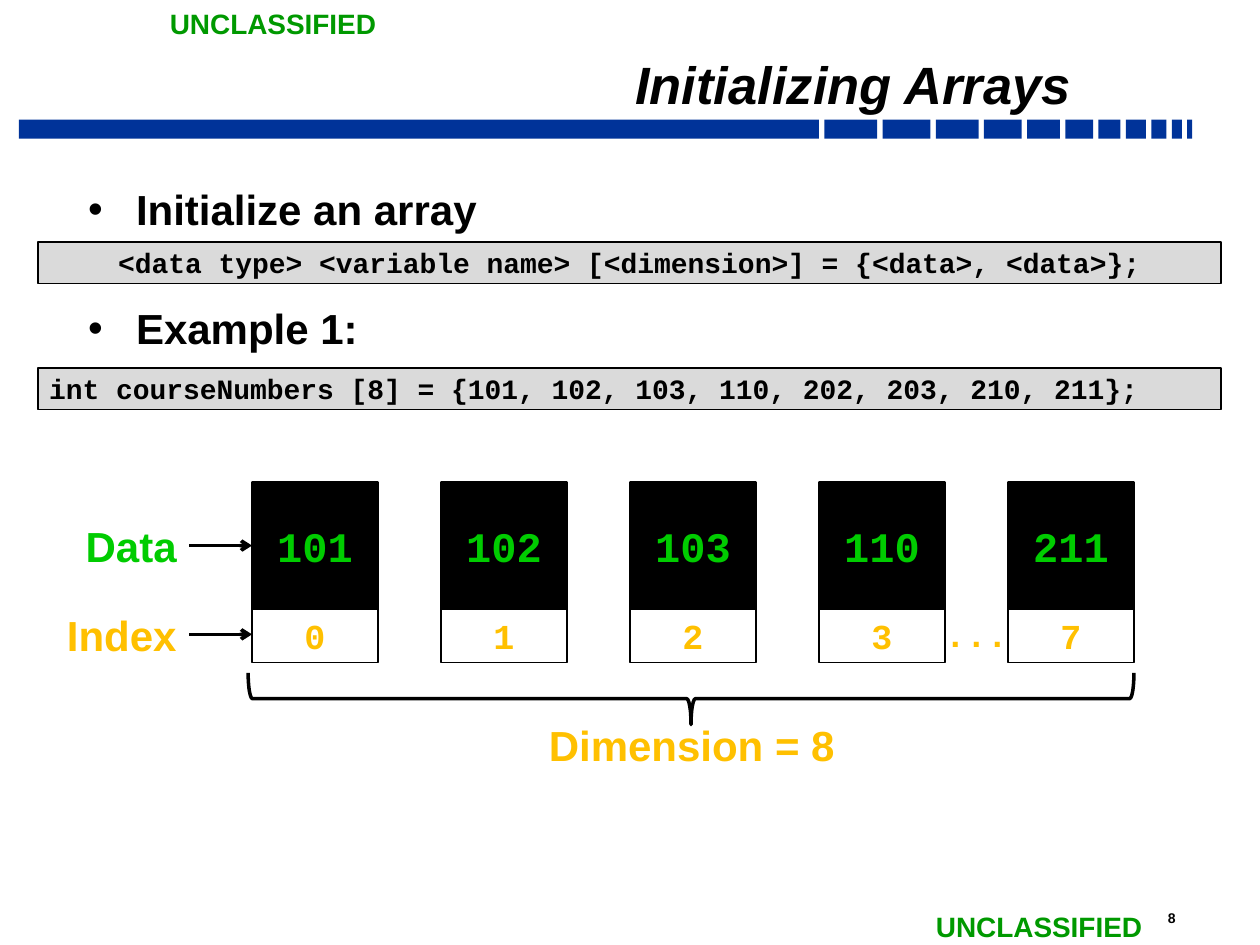
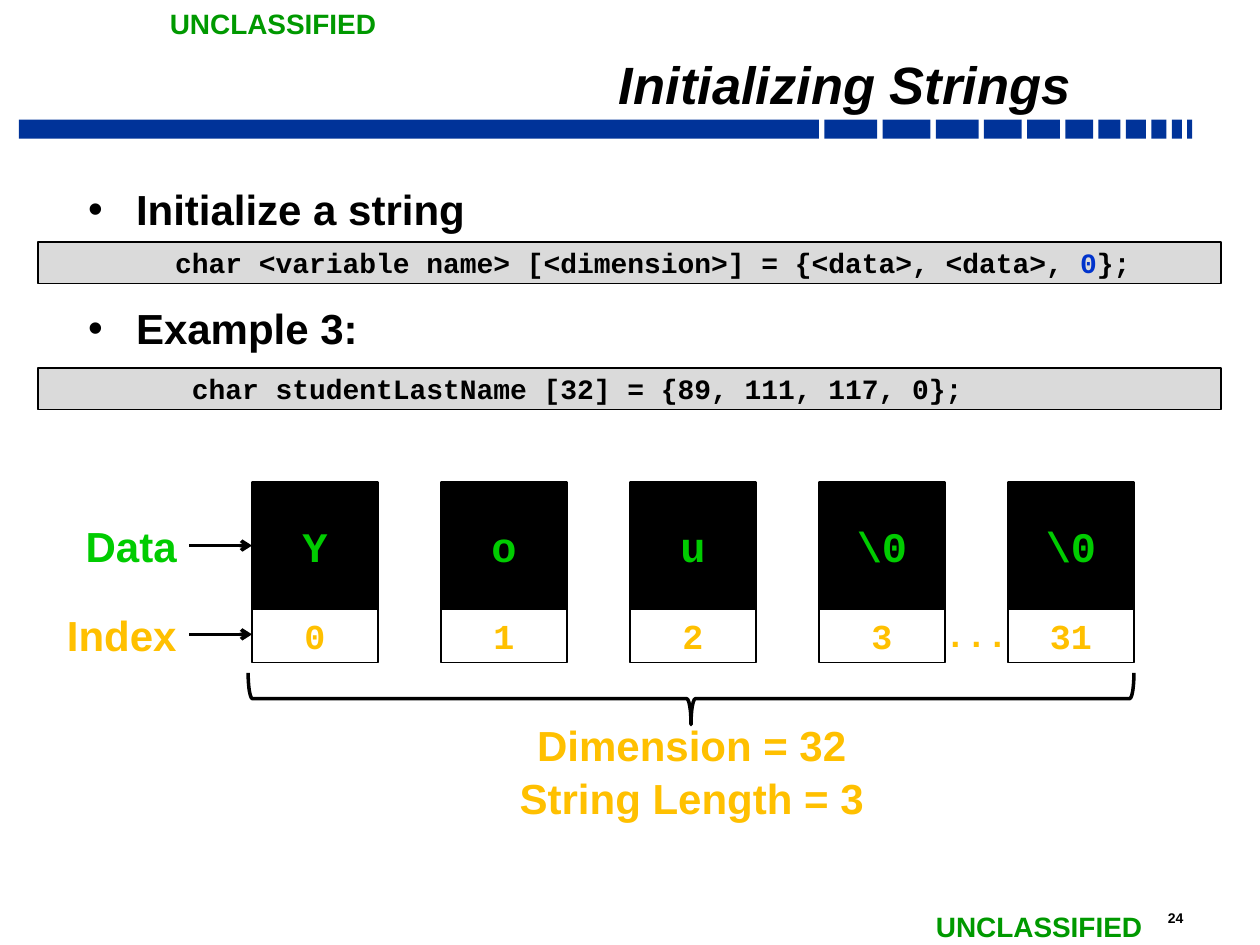
from lxml.etree import SubElement
from pptx import Presentation
from pptx.dml.color import RGBColor as Rgb
from pptx.enum.shapes import MSO_CONNECTOR as Link, MSO_SHAPE as Form
from pptx.enum.text import MSO_ANCHOR as Anchor, PP_ALIGN as Align
from pptx.oxml.ns import qn
from pptx.util import Inches, Pt

HUES = {
    "ink": "000000",
    "band": "003399",
    "mark": "009900",
    "code": "DADADA",
    "data": "00CC00",
    "index": "FFC000",
    "end": "0033CC",
}
SANS, MONO = "Arial", "Courier New"
SLIM = (0.09, 0.04)
WIDE = (0.1, 0.05)
BARS = [25.4, 1.68, 1.52, 1.36, 1.2, 1.04, 0.88, 0.7, 0.64, 0.48, 0.32, 0.16]


def hue(name):
    return Rgb.from_string(HUES[name])


class Deck:
    cols, rows = 40, 30

    def __init__(self):
        self.prs = Presentation()
        self.prs.slide_width, self.prs.slide_height = Inches(10), Inches(7.5)
        self.slide = None

    def grid(self, x, y):
        return (round(self.prs.slide_width * x / self.cols),
                round(self.prs.slide_height * y / self.rows))

    def place(self, box):
        return *self.grid(*box[:2]), *self.grid(*box[2:])

    def style(self, font, size, color, face=SANS, slant=False):
        font.name, font.size, font.bold = face, Pt(size), True
        font.color.rgb = hue(color)
        if slant:
            font.italic = True

    def frame(self, shape, anchor=Anchor.MIDDLE, pad=WIDE, wrap=True):
        frame = shape.text_frame
        frame.word_wrap, frame.vertical_anchor = wrap, anchor
        frame.margin_left = frame.margin_right = Inches(pad[0])
        frame.margin_top = frame.margin_bottom = Inches(pad[1])
        return frame

    def label(self, shape, text, size, color, face=SANS, align=Align.LEFT,
              slant=False, **opts):
        para = self.frame(shape, **opts).paragraphs[0]
        para.alignment = align
        para.add_run().text = text
        self.style(para.font, size, color, face, slant)
        return para

    def area(self, box):
        return self.slide.shapes.add_textbox(*self.place(box))

    def text(self, box, *args, **opts):
        return self.label(self.area(box), *args, **opts)

    def shape(self, box, fill=None, line=0, form=Form.RECTANGLE):
        shape = self.slide.shapes.add_shape(form, *self.place(box))
        shape.shadow.inherit = False
        if fill:
            shape.fill.solid()
            shape.fill.fore_color.rgb = hue(fill)
        else:
            shape.fill.background()
        if line:
            shape.line.color.rgb = hue("ink")
            shape.line.width = Pt(line)
        else:
            shape.line.fill.background()
        return shape

    def arrow(self, x, y, end):
        line = self.slide.shapes.add_connector(
            Link.STRAIGHT, *self.grid(x, y), *self.grid(end, y))
        line.line.color.rgb = hue("ink")
        line.line.width = Pt(2)
        props = line._element.spPr
        SubElement(props.find(qn("a:ln")), qn("a:tailEnd"), type="arrow")
        SubElement(props, qn("a:effectLst"))

    def start(self, title, page):
        self.slide = self.prs.slides.add_slide(self.prs.slide_layouts[6])
        x = 0.6
        for wide in BARS:
            self.shape((x, 3.8, wide, 0.6), "band")
            x += wide + 0.17
        self.text((36.68, 28.68, 2.16, 0.92), str(page), 8, "ink", anchor=Anchor.TOP)
        for x, y in (5, 0), (29.32, 28.68):
            self.text((x, y, 7.44, 1.48), "UNCLASSIFIED", 16, "mark",
                      anchor=Anchor.TOP, wrap=False)
        para = self.text((6.68, 1.4, 27.68, 2.36), title, 30, "ink", align=Align.RIGHT,
                         anchor=Anchor.BOTTOM, pad=SLIM, slant=True)
        para.line_spacing = 0.7

    def bullets(self, heads):
        frame = self.frame(self.area((2.44, 5.68, 36.28, 20.68)), Anchor.TOP, SLIM)
        for k, head in enumerate(heads):
            para = frame.add_paragraph() if k else frame.paragraphs[0]
            para.add_run().text = head
            para.space_before = Pt(39 * k)
            props = para._p.get_or_add_pPr()
            props.set("marL", str(Inches(0.38)))
            props.set("indent", str(-Inches(0.38)))
            SubElement(props, qn("a:buFont"), typeface=SANS)
            SubElement(props, qn("a:buChar"), char="•")
            self.style(para.font, 24, "ink")

    def code(self, y, parts, align=Align.LEFT, inset=0):
        shape = self.shape((1.2, y, 37.56, 1.32), "code", 1)
        para = self.label(shape, parts[0], 16, "ink", MONO, align, pad=SLIM)
        para._p.get_or_add_pPr().set("marL", str(Inches(inset)))
        for part, color in zip(parts[1:], ("end", "ink")):
            run = para.add_run()
            run.text = part
            run.font.color.rgb = hue(color)

    def cells(self, data, index):
        for k, (value, spot) in enumerate(zip(data, index)):
            x = 8 + 6 * k
            self.label(self.shape((x, 15.32, 4, 4), "ink", 1.5),
                       value, 24, "data", MONO, Align.CENTER)
            self.label(self.shape((x, 19.28, 4, 1.76), line=0.75),
                       spot, 20, "index", MONO, Align.CENTER)
        self.text((29, 19.24, 4, 1.76), "...", 20, "index", MONO, Align.CENTER)

    def notes(self, lines):
        for word, y, color in ("Data", 17.32, "data"), ("Index", 20.14, "index"):
            self.text((0, y - 1, 6, 2), word, 24, color, align=Align.RIGHT)
            self.arrow(6, y, 8)
        brace = self.shape((21.12, 8.12, 1.64, 28.12), line=2, form=Form.LEFT_BRACE)
        brace.rotation = 270
        for k, line in enumerate(lines):
            self.text((14.06, 22.64 + 1.68 * k, 15.8, 2), line, 24, "index",
                      align=Align.CENTER)


def main():
    deck = Deck()

    deck.start("Initializing Arrays", 8)
    deck.bullets(["Initialize an array", "Example 1:"])
    deck.code(7.68, ["<data type> <variable name> [<dimension>] = {<data>, <data>};"],
              Align.CENTER)
    deck.code(11.68, ["int courseNumbers [8] = {101, 102, 103, 110, 202, 203, 210, 211};"])
    deck.cells(["101", "102", "103", "110", "211"], "01237")
    deck.notes(["Dimension = 8"])

    deck.start("Initializing Strings", 24)
    deck.bullets(["Initialize a string", "Example 3:"])
    deck.code(7.68, ["char <variable name> [<dimension>] = {<data>, <data>, ", "0", "};"],
              inset=1)
    deck.code(11.68, [" char studentLastName [32] = {89, 111, 117, 0};"], inset=1)
    deck.cells(["Y", "o", "u", "\\0", "\\0"], ["0", "1", "2", "3", "31"])
    deck.notes(["Dimension = 32", "String Length = 3"])

    deck.prs.save("out.pptx")


if __name__ == "__main__":
    main()
